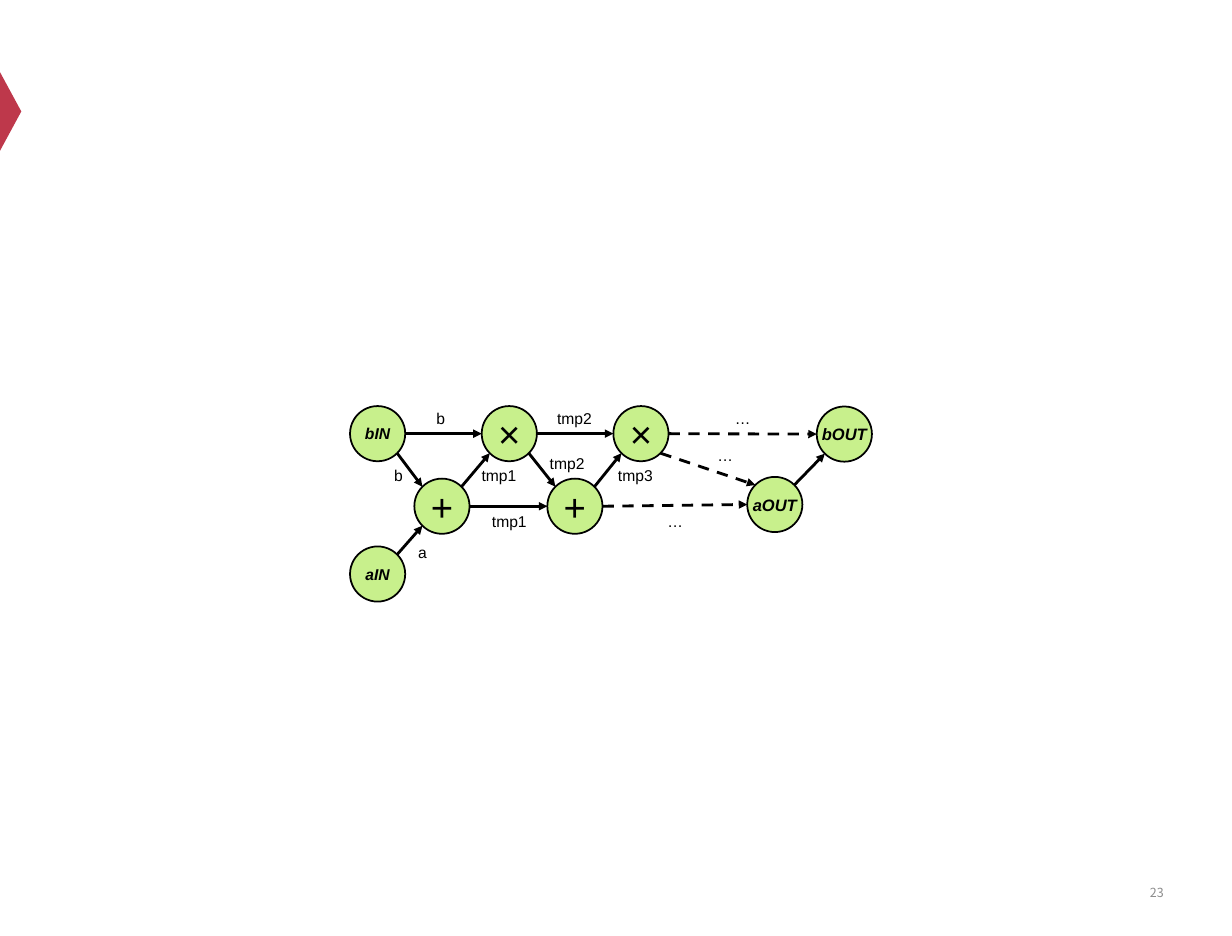
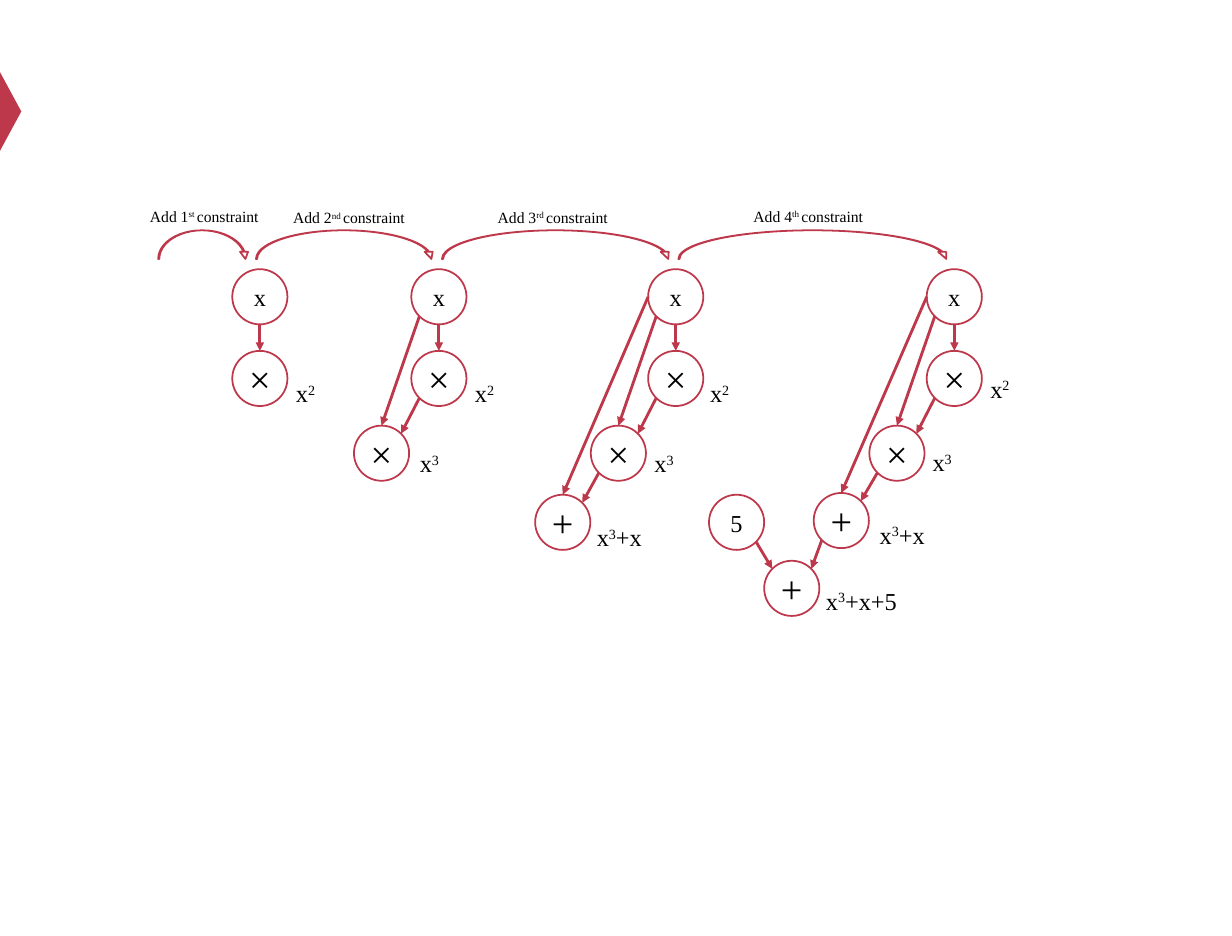
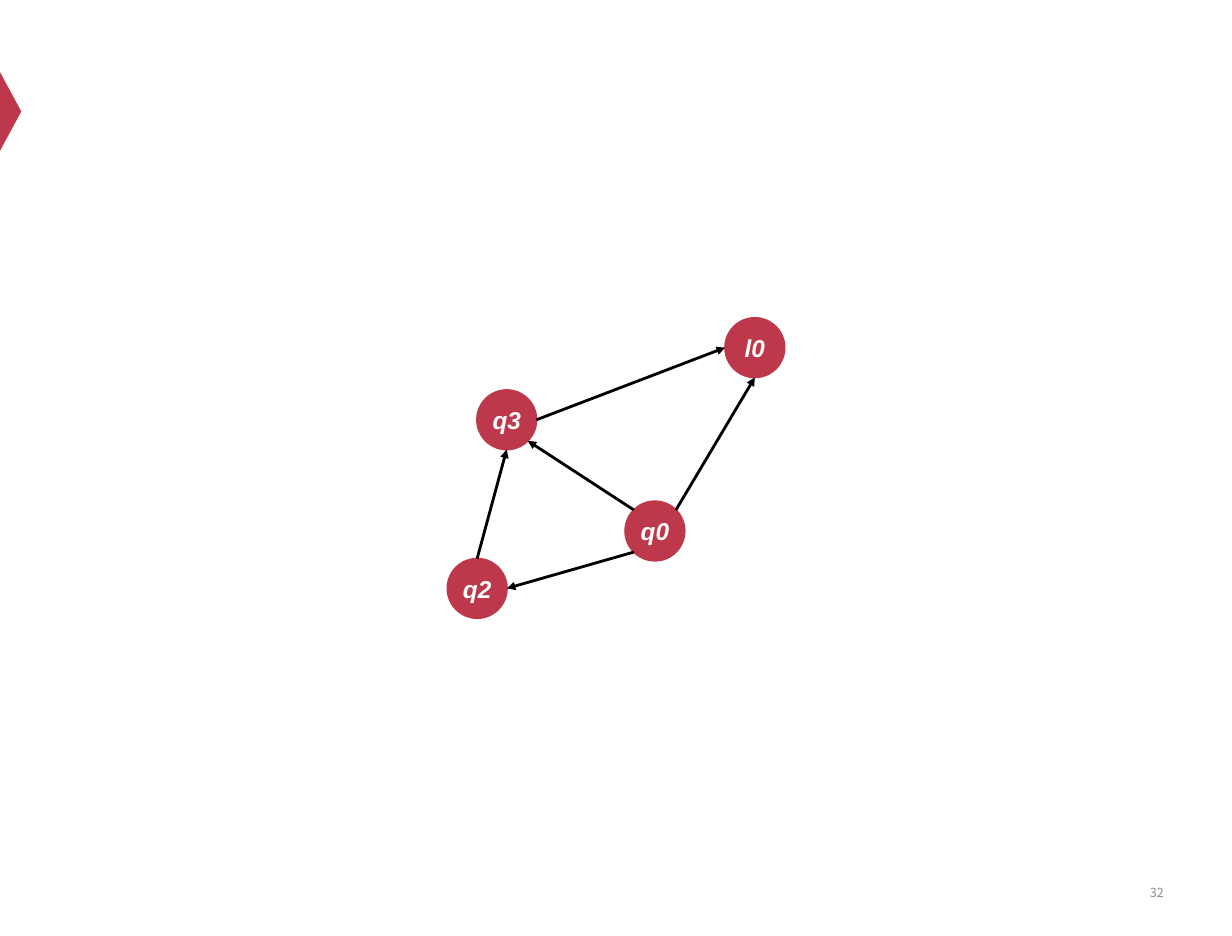
"""Build three slides of circuit and state graphs."""
from dataclasses import dataclass
from math import cos, radians, sin

from lxml import etree
from pptx import Presentation, util as u
from pptx.dml.color import RGBColor
from pptx.enum import dml, shapes, text
from pptx.oxml import ns


@dataclass(frozen=True)
class Ink:
    font: str
    size: float
    color: str = "000000"
    bold: bool = False


@dataclass(frozen=True)
class Theme:
    red: str = "BE384B"
    green: str = "C8F08C"
    black: str = "000000"
    edge: float = 2
    wire: float = 3.25
    name: Ink = Ink("Arial", 18, bold=True)
    port: Ink = Ink("Arial", 19, bold=True)
    sign: Ink = Ink("Arial", 44)
    note: Ink = Ink("Arial", 18)
    state: Ink = Ink("Arial", 28, "FFFFFF", True)
    math: Ink = Ink("Times New Roman", 28)
    gate: Ink = Ink("Times New Roman", 44)
    step: Ink = Ink("Times New Roman", 18)
    page: Ink = Ink("Noto Sans CJK SC", 14.4, "8C8C8C")


SITES = ("N", "NW", "W", "SW", "S", "SE", "E", "NE")


class Deck:
    def __init__(self, theme):
        self.theme = theme
        self.file = Presentation()
        self.file.slide_width = u.Pt(1417.5)
        self.file.slide_height = u.Pt(1077)

    def start(self, page=None):
        self.slide = self.file.slides.add_slide(self.file.slide_layouts[6])
        mark = self.shape("ISOSCELES_TRIANGLE", -33, 116, 90.5, 24.5,
                          self.theme.red, None)
        mark.rotation = 90
        if page:
            self.label(1177.5, 1027.25, [page], self.theme.page, 323, "RIGHT")

    def shape(self, kind, x, y, w, h, fill, line):
        form = self.slide.shapes.add_shape(
            shapes.MSO_SHAPE[kind], *map(u.Pt, (x, y, w, h)))
        form.shadow.inherit = False
        for part, color in ((form.fill, fill), (form.line.fill, line)):
            if color:
                part.solid()
                part.fore_color.rgb = RGBColor.from_string(color)
            else:
                part.background()
        if line:
            form.line.width = u.Pt(self.theme.edge)
        return form

    def letter(self, form, runs, ink, align="CENTER", wrap=False):
        frame = form.text_frame
        frame.word_wrap = wrap
        frame.vertical_anchor = text.MSO_ANCHOR.MIDDLE
        frame.margin_left = frame.margin_right = 0
        frame.margin_top = frame.margin_bottom = 0
        para = frame.paragraphs[0]
        para.alignment = text.PP_ALIGN[align]
        for part in runs:
            run = para.add_run()
            run.text = part.lstrip("^")
            font = run.font
            font.name, font.size = ink.font, u.Pt(ink.size)
            font.bold = font.italic = ink.bold
            font.color.rgb = RGBColor.from_string(ink.color)
            if part.startswith("^"):
                run._r.get_or_add_rPr().set("baseline", "30000")

    def label(self, x, y, runs, ink, w=67.5, align="CENTER"):
        h = ink.size * 1.5
        box = self.slide.shapes.add_textbox(
            *map(u.Pt, (x - w / 2, y - h / 2, w, h)))
        self.letter(box, runs, ink, align, True)

    def node(self, x, y, word, ink, fill=None, line=None, size=63.5):
        form = self.shape("OVAL", x - size / 2, y - size / 2, size, size,
                          fill, line or self.theme.black)
        self.letter(form, [word], ink)
        return form

    def arc(self, x, w):
        form = self.shape("CURVED_DOWN_ARROW", x, 265, w, 33, None,
                          self.theme.red)
        for i, rate in enumerate((0.04, 0.28, 0.25)):
            form.adjustments[i] = rate

    def site(self, form, side):
        turn = radians(90 + 45 * SITES.index(side))
        half = form.width / 2
        return (int(form.left + half + half * cos(turn)),
                int(form.top + half - half * sin(turn)))

    def arrow(self, tail, out, head, into, color=None, dash=False):
        link = self.slide.shapes.add_connector(
            shapes.MSO_CONNECTOR.STRAIGHT,
            *self.site(tail, out), *self.site(head, into))
        link.line.color.rgb = RGBColor.from_string(color or self.theme.black)
        link.line.width = u.Pt(self.theme.wire)
        if dash:
            link.line.dash_style = dml.MSO_LINE.DASH
        root = link._element
        props = root.spPr
        etree.SubElement(props.find(ns.qn("a:ln")), ns.qn("a:tailEnd"),
                         type="triangle")
        etree.SubElement(props, ns.qn("a:effectLst"))
        joint = root.find(".//" + ns.qn("p:cNvCxnSpPr"))
        for tag, form, side in (("a:stCxn", tail, out),
                                ("a:endCxn", head, into)):
            etree.SubElement(joint, ns.qn(tag), id=str(form.shape_id),
                             idx=str(SITES.index(side)))


def flow(deck):
    look = deck.theme
    deck.start("23")
    top, low = 499, 582.5
    spots = {
        "b": (434.5, top, "bIN", look.name),
        "a": (434.5, 660.5, "aIN", look.name),
        "add1": (508.5, low, "+", look.sign),
        "mul1": (586, top, "×", look.sign),
        "add2": (661.5, low, "+", look.sign),
        "mul2": (737.5, top, "×", look.sign),
        "aout": (891.5, 580.5, "aOUT", look.port),
        "bout": (971.5, 499.5, "bOUT", look.port),
    }
    nodes = {key: deck.node(*spot, look.green) for key, spot in spots.items()}
    for tail, out, head, into, dash in (
        ("b", "E", "mul1", "W", False),
        ("b", "SE", "add1", "NW", False),
        ("a", "NE", "add1", "SW", False),
        ("add1", "NE", "mul1", "SW", False),
        ("add1", "E", "add2", "W", False),
        ("mul1", "E", "mul2", "W", False),
        ("mul1", "SE", "add2", "NW", False),
        ("add2", "NE", "mul2", "SW", False),
        ("mul2", "E", "bout", "W", True),
        ("mul2", "SE", "aout", "NW", True),
        ("add2", "E", "aout", "W", True),
        ("aout", "NE", "bout", "SW", False),
    ):
        deck.arrow(nodes[tail], out, nodes[head], into, dash=dash)
    for x, y, word in (
        (507, 481.5, "b"), (661, 481.5, "tmp2"), (854.5, 481.5, "…"),
        (834.5, 524, "…"), (652.5, 533, "tmp2"),
        (458.5, 547, "b"), (574, 547, "tmp1"), (731, 547, "tmp3"),
        (586, 600, "tmp1"), (777, 600, "…"), (486, 635, "a"),
    ):
        deck.label(x, y, [word], look.note)


def grow(deck):
    look = deck.theme
    deck.start()

    def gate(x, y, word, ink=look.gate):
        return deck.node(x, y, word, ink, line=look.red)

    def wire(*ends):
        deck.arrow(*ends, look.red)

    terms = (("x", "^2"), ("x", "^3"), ("x", "^3", "+x"))
    plan = (
        (299, 601, ((351.5, 452),)),
        (505, 601, ((557.5, 452), (494, 532.5))),
        (777.5, 601, ((828, 452), (764, 532.5), (712.5, 617.5))),
        (1098, 599, ((1150.5, 447), (1084, 531.5), (1038, 615))),
    )
    for x, base, tags in plan:
        spots = ((x, 435.5, "×"), (x - 66, 521.5, "×"), (x - 130, base, "+"))
        root = last = gate(x, 341.5, "x", look.math)
        for i, (spot, tag, term) in enumerate(zip(spots, tags, terms)):
            item = gate(*spot)
            if i:
                wire(last, "SW", item, "NE")
            wire(root, ("S", "SW", "W")[i], item, "N")
            deck.label(*tag, term, look.math, 120)
            last = item
    five = gate(847.5, 601, "5", look.math)
    total = gate(911, 677, "+")
    wire(five, "SE", total, "NW")
    wire(last, "SW", total, "NE")
    deck.label(991, 691, ("x", "^3", "+x+5"), look.math, 120)

    for x, w, mid, y, num, end in (
        (182, 105, 235, 249, 1, "st"),
        (294.5, 206.5, 401.5, 250.5, 2, "nd"),
        (508.5, 265, 636, 250, 3, "rd"),
        (780.5, 313, 930, 248.5, 4, "th"),
    ):
        deck.arc(x, w)
        deck.label(mid, y, (f"Add {num}", f"^{end} ", "constraint"),
                   look.step, 206.5)


def states(deck):
    look = deck.theme
    deck.start("32")
    nodes = {
        word: deck.node(x, y, word, look.state, look.red, look.red, 68.5)
        for word, x, y in (("l0", 868.5, 400), ("q3", 583, 483),
                           ("q2", 549, 677), ("q0", 753.5, 611))
    }
    for tail, out, head, into in (
        ("q2", "N", "q3", "S"),
        ("q0", "NW", "q3", "SE"),
        ("q0", "SW", "q2", "E"),
        ("q3", "E", "l0", "W"),
        ("q0", "NE", "l0", "S"),
    ):
        deck.arrow(nodes[tail], out, nodes[head], into)


def main():
    deck = Deck(Theme())
    for draw in (flow, grow, states):
        draw(deck)
    deck.file.save("out.pptx")


if __name__ == "__main__":
    main()
